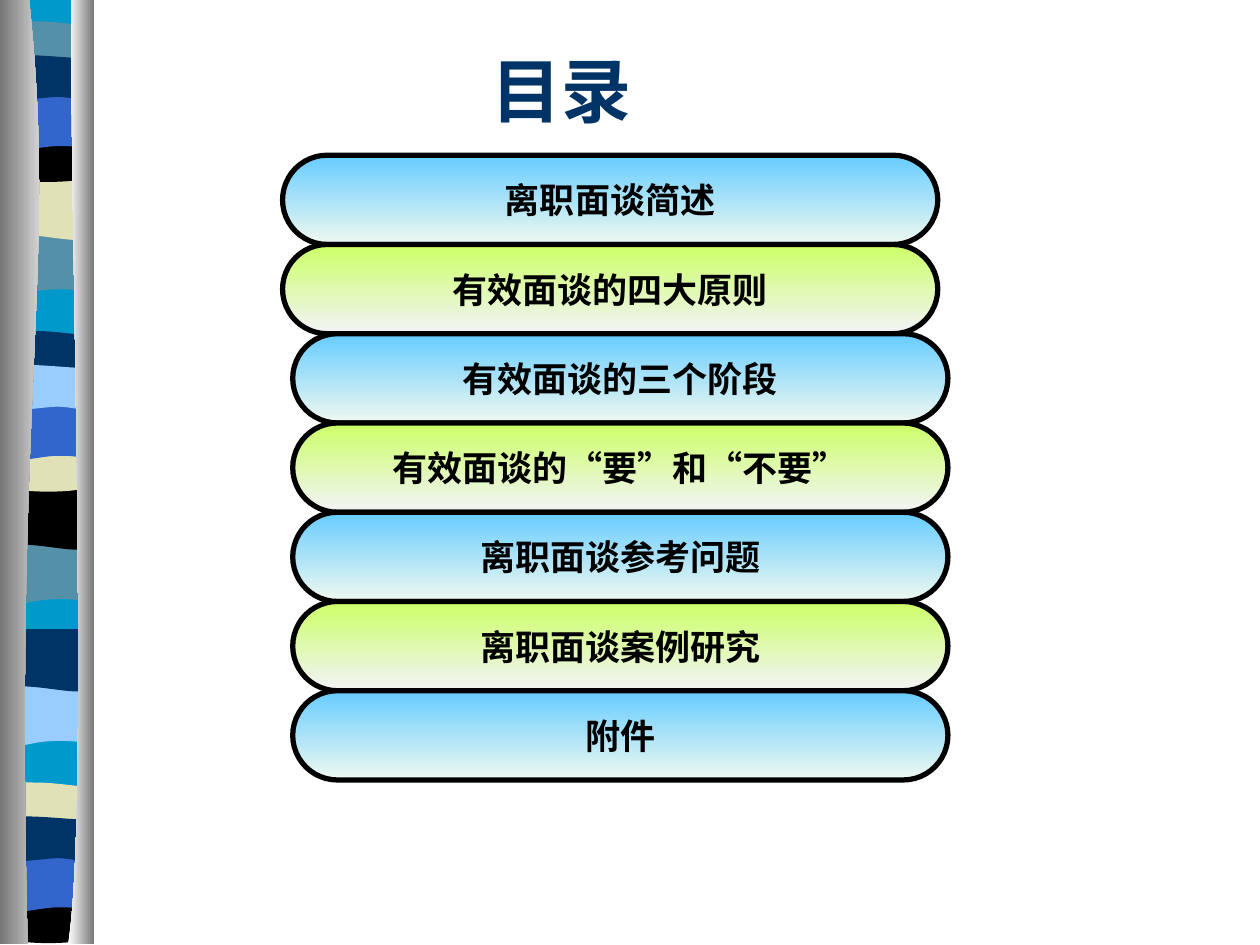
from pptx import Presentation
from pptx.dml.color import RGBColor as RGB
from pptx.enum.shapes import MSO_SHAPE as Shape
from pptx.enum.text import MSO_ANCHOR as Anchor, MSO_AUTO_SIZE as Auto, PP_ALIGN as Align
from pptx.oxml.ns import qn
from pptx.util import Pt

LEFT, RIGHT = 2.5, 52.6
NAVY, BLUE, SKY, CYAN = "003366", "3366CC", "99CCFF", "0099CC"
TEAL, SAND, BLACK = "5490A8", "E1E1B7", "000000"
GRAY, WHITE = "767676", "FFFFFF"

BANDS = [
    ([(RIGHT, 133), (RIGHT, 167), (18, 161.3, 10.8, 172.8, LEFT, 167), (LEFT, 133)],
     [(0, TEAL), (177, TEAL), (258, SKY)]),
    ([(RIGHT, 101.5), (RIGHT, 135.4), (44.6, 141, 18, 131, LEFT, 135.4), (LEFT, 101.5)],
     [(0, SAND), (177, BLACK), (258, NAVY)]),
    ([(RIGHT, 15.1), (RIGHT, 32.4), (44.6, 35.3, 10.8, 35.3, LEFT, 32.4), (LEFT, 15.1),
      (5.8, 11.5, 13.7, 12.2, 21.6, 12.2), (30.2, 12.2, 46, 14.4, RIGHT, 15.1)],
     [(0, TEAL), (177, NAVY), (435, SAND)]),
    ([(RIGHT, 77.8), (RIGHT, 100.8), (44.6, 105, 10.8, 105, LEFT, 100.8), (LEFT, 77.8),
      (33, 81.4, 42.5, 77.8, RIGHT, 77.8)],
     [(0, BLACK), (177, SAND), (435, BLACK)]),
    ([(RIGHT, 53.3), (RIGHT, 87.1), (44.6, 83.5, 41.8, 83.5, 33.1, 83.5),
      (25.2, 83.5, 10, 87.1, LEFT, 87.1), (LEFT, 53.3)],
     [(0, BLUE), (177, BLUE), (435, BLUE)]),
    ([(RIGHT, 33.1), (RIGHT, 55.4), (49.7, 59, 41.8, 55.4, 33.1, 55.4),
      (25.2, 55.4, 8, 59, LEFT, 55.4), (LEFT, 33.1), (9.4, 29.5, 36.7, 33.1, 44.6, 33.1)],
     [(0, NAVY), (177, SKY), (435, NAVY)]),
]
BASE = [(LEFT, -0.5), (RIGHT, -0.5), (RIGHT, 538), (LEFT, 538)]
PILLARS = [
    ([(16.6, -0.5), (33.1, 155.5, 7.9, 213, 15.8, 539.5), (0, 539.5), (0, -0.5)], (GRAY, WHITE)),
    ([(41, -0.5), (38.9, 90, 51.8, 465, 38.9, 539.5), (54, 539.5), (54, 0)], (WHITE, GRAY)),
]
TOPICS = ["离职面谈简述", "有效面谈的四大原则", "有效面谈的三个阶段", "有效面谈的“要”和“不要”",
          "离职面谈参考问题", "离职面谈案例研究", "附件"]
TINTS = [("66CCFF", "F0F9F0"), ("CCFF66", "F3F3F9")]


def color(code):
    """Turn a hex string into a colour."""
    return RGB.from_string(code)


def write(frame, text, size=20, font="Arial", ink=BLACK, align=Align.CENTER, wrap=False, indent=0):
    """Put bold text into a frame with the given format."""
    frame.auto_size = Auto.NONE
    frame.word_wrap = wrap
    frame.vertical_anchor = Anchor.MIDDLE
    para = frame.paragraphs[0]
    para.alignment = align
    if indent:
        props = para._p.get_or_add_pPr()
        props.set("marL", str(Pt(indent)))
        props.set("indent", "0")
    run = para.add_run()
    run.text = text
    run.font.size, run.font.name, run.font.bold = Pt(size), font, True
    run.font.color.rgb = color(ink)


def bend(shape, steps):
    """Join each three lines of a curve step into one curve."""
    lines = iter(shape._element.xpath(".//a:lnTo"))
    for step in steps[1:]:
        first = next(lines)
        if len(step) == 2:
            continue
        first.tag = qn("a:cubicBezTo")
        for line in (next(lines), next(lines)):
            first.append(line[0])
            line.getparent().remove(line)


class Deck:
    """Hold the current slide and its style."""

    def __init__(self, show):
        """Add a title-only slide."""
        self.slide = show.slides.add_slide(show.slide_layouts[5])
        self.shapes = self.slide.shapes

    def group(self):
        """Add a group and return its shapes."""
        return self.shapes.add_group_shape().shapes

    def paint(self, shape, fill, angle=0):
        """Fill a shape with one colour or a pair that blends."""
        shape.shadow.inherit = False
        if isinstance(fill, str):
            shape.fill.solid()
            shape.fill.fore_color.rgb = color(fill)
            return
        shape.fill.gradient()
        shape.fill.gradient_angle = angle
        for stop, code in zip(shape.fill.gradient_stops, fill):
            stop.color.rgb = color(code)

    def title(self, text, x, y, w, h, **form):
        """Place and write the title."""
        box = self.shapes.title
        box.left, box.top, box.width, box.height = map(Pt, (x, y, w, h))
        write(box.text_frame, text, **form)

    def outline(self, home, steps, fill, drop=0):
        """Draw a closed outline moved down by drop."""
        dots = [(Pt(x), Pt(y + drop)) for s in steps for x, y in zip(s[::2], s[1::2])]
        pen = home.build_freeform(*dots[0])
        pen.add_line_segments(dots[1:], close=True)
        shape = pen.convert_to_shape()
        bend(shape, steps)
        self.paint(shape, fill)
        shape.line.fill.background()

    def pill(self, home, text, x, y, w, h, fill):
        """Draw a rounded bar with centred text."""
        bar = home.add_shape(Shape.ROUNDED_RECTANGLE, *map(Pt, (x, y, w, h)))
        bar.adjustments[0] = 0.5
        self.paint(bar, fill, 270)
        bar.line.color.rgb = color(BLACK)
        bar.line.width = Pt(3)
        write(bar.text_frame, text)


def main():
    """Build the contents slide."""
    show = Presentation()
    show.slide_width, show.slide_height = Pt(720), Pt(540)
    deck = Deck(show)
    strip = deck.group()
    deck.outline(strip, BASE, CYAN)
    for turn in range(3):
        for steps, copies in BANDS:
            drop, fill = copies[turn]
            deck.outline(strip, steps, fill, drop)
    for steps, fill in PILLARS:
        deck.outline(strip, steps, fill)
    deck.title("目录", 92, 36.4, 612, 29.5, size=40, font="Times New Roman",
               ink=NAVY, align=Align.LEFT, wrap=True, indent=181.6)
    menu = deck.group()
    last = len(TOPICS) - 1
    for row, topic in enumerate(TOPICS):
        home = deck.shapes if row == last else menu
        x = 161.5 if row < 2 else 167.3
        deck.pill(home, topic, x, 88.7 + 51 * row, 374.4, 51, TINTS[row % 2])
    show.save("out.pptx")


if __name__ == "__main__":
    main()
